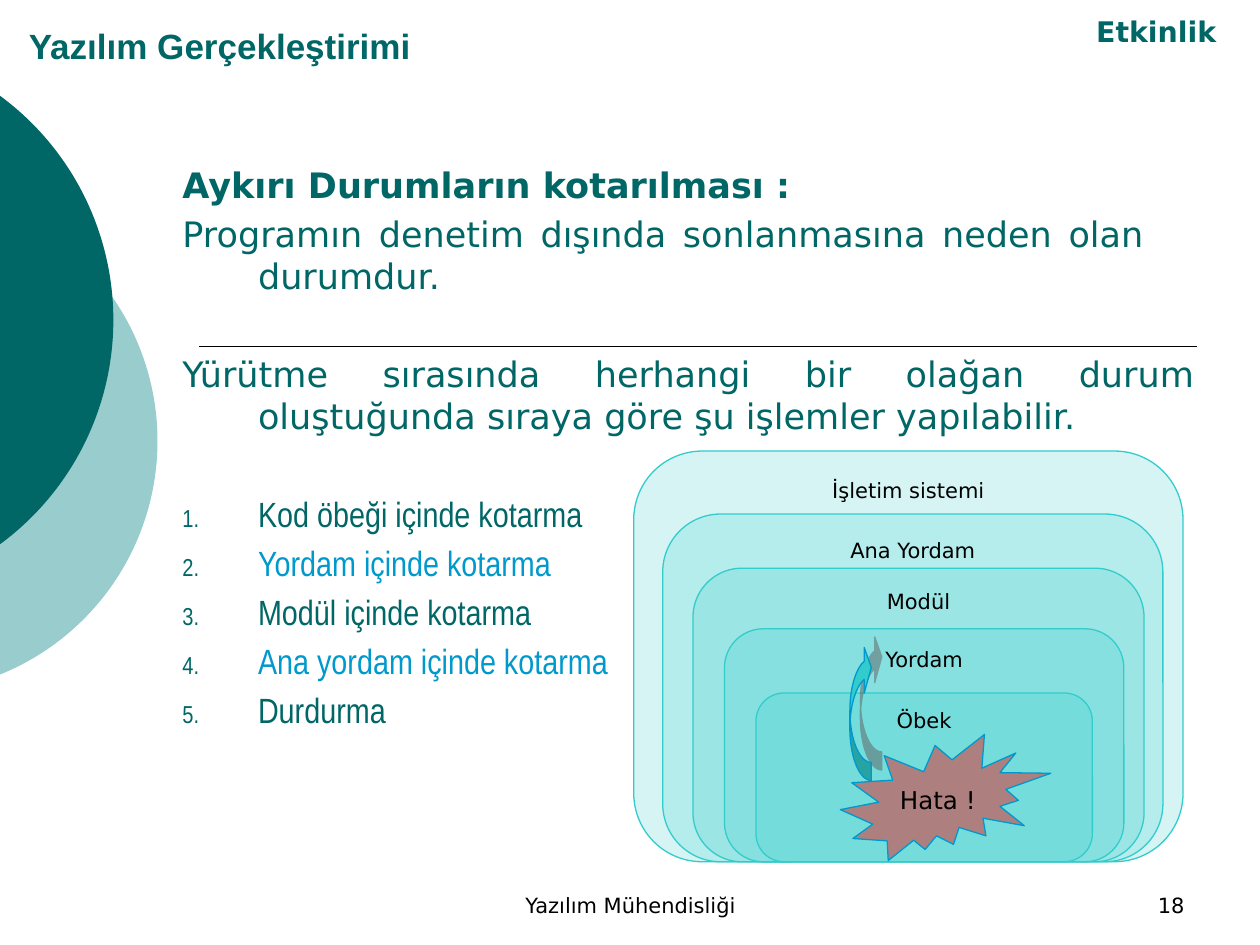
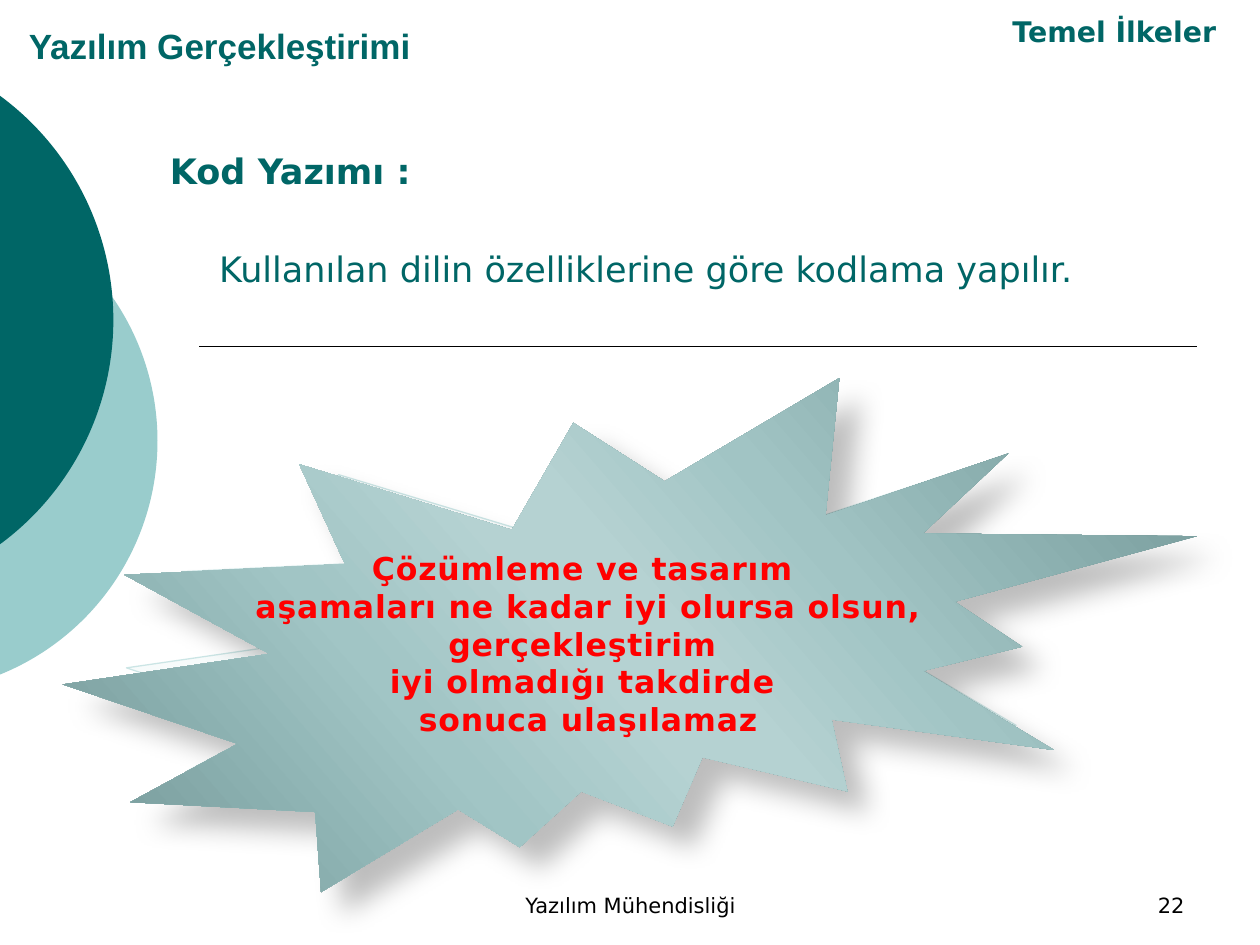
import math

from lxml import etree
from pptx import Presentation
from pptx.dml.color import RGBColor
from pptx.enum import shapes, text
from pptx.oxml.ns import qn
from pptx.util import Inches, Pt

TEAL, PALE, AQUA, BLUE, BLACK, RED = "006666", "99CCCC", "33CCCC", "0099CC", "000000", "FF0000"
SANS = "DejaVu Sans"
SHAPE = shapes.MSO_SHAPE
LEFT, CENTER, RIGHT, JUSTIFY = (text.PP_ALIGN.LEFT, text.PP_ALIGN.CENTER,
                                text.PP_ALIGN.RIGHT, text.PP_ALIGN.JUSTIFY)
TOP, MIDDLE, BOTTOM = (text.MSO_ANCHOR.TOP, text.MSO_ANCHOR.MIDDLE, text.MSO_ANCHOR.BOTTOM)

TITLE = "Yazılım Gerçekleştirimi"
FOOTER = "Yazılım Mühendisliği"
CIRCLES = [(-2.75, 1.5, 4, PALE), (-3.52, 0.33, 4.42, TEAL)]  # left, top, diameter

GAP, WIDE_GAP = 4, 32  # points before a paragraph
HANGING = dict(margin=0.7, indent=-0.6)
EXCEPTIONS = [
    ("Aykırı Durumların kotarılması :", dict(bold=True)),
    ("Programın denetim dışında sonlanmasına neden olan durumdur.", dict(right=0.4)),
    ("Yürütme sırasında herhangi bir olağan durum oluştuğunda sıraya göre "
     "şu işlemler yapılabilir.", dict(before=WIDE_GAP)),
]
STEPS = ["Kod öbeği içinde kotarma", "Yordam içinde kotarma", "Modül içinde kotarma",
         "Ana yordam içinde kotarma", "Durdurma"]
LAYERS = [  # name, left, top, width
    ("İşletim sistemi", 5.03, 3.58, 4.36),
    ("Ana Yordam", 5.26, 4.08, 3.97),
    ("Modül", 5.5, 4.51, 3.58),
    ("Yordam", 5.75, 4.99, 3.17),
    ("Öbek", 6, 5.5, 2.67),
]
LAYERS_BOTTOM = 6.84

CODING = [
    ("Kod Yazımı :", dict(bold=True)),
    ("Kullanılan dilin özelliklerine göre kodlama yapılır.",
     dict(before=WIDE_GAP, margin=0.39)),
]
WARNING = ["Çözümleme ve tasarım ", "aşamaları ne kadar iyi olursa olsun,", "gerçekleştirim ",
           "iyi olmadığı takdirde ", "sonuca ulaşılamaz"]
BURST_STOPS = [(0, "6F9494"), (33, "A1C4C4"), (47, "B5D2D2"),
               (53, "B5D2D2"), (68, "A1C5C5"), (100, "6F9494")]


def rgb(color):
    return RGBColor.from_string(color)


def child(parent, tag, **attrs):
    return etree.SubElement(parent, qn(tag), {k: str(v) for k, v in attrs.items()})


def set_alpha(parent, percent):
    child(next(parent.iter(qn("a:srgbClr"))), "a:alpha", val=percent * 1000)


def add_paragraph(tf, words, size=20, font=SANS, color=TEAL, bold=False, align=JUSTIFY,
                  before=0, margin=0, indent=0, right=0):
    p = tf.paragraphs[0]
    if p.runs:
        p = tf.add_paragraph()
    p.alignment, p.space_before = align, Pt(before)
    pPr = p._p.get_or_add_pPr()
    for name, inches in (("marL", margin), ("marR", right), ("indent", indent)):
        pPr.set(name, str(Inches(inches)))
    r = p.add_run()
    r.text = words
    r.font.size, r.font.name, r.font.bold = Pt(size), font, bold
    r.font.color.rgb = rgb(color)
    return p


def number(p):
    pPr = p._p.get_or_add_pPr()
    child(child(pPr, "a:buClr"), "a:srgbClr", val=TEAL)
    child(pPr, "a:buSzPct", val=70000)
    child(pPr, "a:buAutoNum", type="arabicPeriod")


def add_box(slide, at, anchor=TOP):
    tf = slide.shapes.add_textbox(*map(Inches, at)).text_frame
    tf.word_wrap, tf.vertical_anchor = True, anchor
    return tf


def add_line_of_text(slide, at, words, **style):
    return add_paragraph(add_box(slide, at, BOTTOM), words, **style)


def paint(sp, fill=None, alpha=100, line=None):
    sp.shadow.inherit = False
    if fill:
        sp.fill.solid()
        sp.fill.fore_color.rgb = rgb(fill)
        if alpha < 100:
            set_alpha(sp._element.spPr.find(qn("a:solidFill")), alpha)
    if line:
        sp.line.color.rgb, sp.line.width = rgb(line), Pt(0.75)
    else:
        sp.line.fill.background()


def add_shape(slide, kind, at, **look):
    sp = slide.shapes.add_shape(kind, *map(Inches, at))
    paint(sp, **look)
    return sp


def cast_shadow(sp, color, alpha, blur, distance, angle):
    effects = sp._element.spPr.find(qn("a:effectLst"))
    shadow = child(effects, "a:outerShdw", blurRad=Pt(blur), dist=Pt(distance),
                   dir=angle * 60000, algn="ctr", rotWithShape=0)
    child(shadow, "a:srgbClr", val=color)
    set_alpha(shadow, alpha)


def fill_gradient(sp, stops, clockwise):
    sp.fill.gradient()
    sp.fill.gradient_angle = 360 - clockwise
    gs_list = next(sp._element.spPr.iter(qn("a:gsLst")))
    for gs in list(gs_list):
        gs_list.remove(gs)
    for position, color in stops:
        child(child(gs_list, "a:gs", pos=position * 1000), "a:srgbClr", val=color)


def add_circle_part(slide, left, top, diameter, color):
    """Adds a circle cut off at the slide's left edge, its arc as one curve."""
    radius = diameter / 2
    limit = math.acos(-(left + radius) / radius)
    rise = radius * math.sin(limit)
    size = Inches(diameter)
    builder = slide.shapes.build_freeform(Inches(-left), Inches(radius - rise))
    builder.add_line_segments([(Inches(-left), Inches(radius + rise))], close=True)
    sp = builder.convert_to_shape()
    sp.left, sp.top, sp.width, sp.height = Inches(left), Inches(top), size, size

    outline = next(sp._element.spPr.iter(qn("a:path")))
    outline.set("w", str(size))
    outline.set("h", str(size))
    start = next(outline.iter(qn("a:pt")))
    start.set("x", str(Inches(-left)))
    start.set("y", str(Inches(radius - rise)))
    degrees = math.degrees(limit)
    arc = child(outline, "a:arcTo", wR=size // 2, hR=size // 2,
                stAng=round((360 - degrees) * 60000), swAng=round(2 * degrees * 60000))
    outline.replace(outline.find(qn("a:lnTo")), arc)
    paint(sp, color)


def add_base(prs, topic, page):
    slide = prs.slides.add_slide(prs.slide_layouts[6])
    rule = slide.shapes.add_connector(shapes.MSO_CONNECTOR.STRAIGHT, Inches(1.58), Inches(2.75),
                                      Inches(9.5), Inches(2.75))
    rule.line.color.rgb, rule.line.width = rgb(BLACK), Pt(1)
    child(rule._element.spPr, "a:effectLst")
    for circle in CIRCLES:
        add_circle_part(slide, *circle)
    small = dict(size=12, color=BLACK)
    add_line_of_text(slide, (3.42, 6.83, 3.17, 0.5), FOOTER, align=CENTER, **small)
    add_line_of_text(slide, (7.17, 6.83, 2.33, 0.5), str(page), align=RIGHT, **small)
    add_line_of_text(slide, (0.13, 0.16, 3.25, 0.42), TITLE, font="Arial", bold=True, align=LEFT)
    p = add_line_of_text(slide, (3.17, 0, 6.58, 0.58), topic, size=28, bold=True, align=RIGHT)
    p.runs[0].font._element.set("baseline", "30000")
    return slide


def add_exceptions_slide(prs):
    slide = add_base(prs, "Etkinlik", 18)
    tf = add_box(slide, (1.25, 1.25, 8.33, 5.83))
    for words, style in EXCEPTIONS:
        add_paragraph(tf, words, **{"before": GAP, **HANGING, **style})
    for i, step in enumerate(STEPS):
        number(add_paragraph(tf, step, font="Arial Narrow", color=BLUE if i % 2 else TEAL,
                             before=GAP if i else WIDE_GAP, **HANGING))

    for name, left, top, width in LAYERS:
        layer = add_shape(slide, SHAPE.ROUNDED_RECTANGLE, (left, top, width, LAYERS_BOTTOM - top),
                          fill=AQUA, alpha=20, line=AQUA)
        layer.text_frame.vertical_anchor = TOP
        add_paragraph(layer.text_frame, name, size=12, color=BLACK, align=CENTER)

    error = add_shape(slide, SHAPE.EXPLOSION2, (6.67, 5.83, 1.67, 1),
                      fill=RED, alpha=42, line=BLUE)
    error.text_frame.word_wrap, error.text_frame.vertical_anchor = False, MIDDLE
    add_paragraph(error.text_frame, "Hata !", size=14, color=BLACK, align=CENTER)

    arrow = add_shape(slide, SHAPE.CURVED_UP_ARROW, (6.29, 5.57, 1.08, 0.17),
                      fill=AQUA, line=BLUE)
    for i, value in enumerate((0.844, 2.136, 0.333)):
        arrow.adjustments[i] = value
    arrow.rotation = 270
    arrow._element.spPr.find(qn("a:xfrm")).set("flipV", "1")
    cast_shadow(arrow, "5F5F5F", 50, 0, 8.5, 315)


def add_coding_slide(prs):
    slide = add_base(prs, "Temel İlkeler", 22)
    back = add_shape(slide, SHAPE.EXPLOSION2, (0.92, 3.25, 8.08, 3.58),
                     fill=AQUA, alpha=14, line=BLUE)
    cast_shadow(back, PALE, 50, 0, 8.5, 315)

    tf = add_box(slide, (1.25, 1.14, 8.33, 1.5))
    for words, style in CODING:
        add_paragraph(tf, words, **style)

    burst = add_shape(slide, SHAPE.EXPLOSION2, (0.5, 3, 9, 4.08))
    fill_gradient(burst, BURST_STOPS, 139)
    cast_shadow(burst, BLACK, 26, 15, 18, 45)
    burst.text_frame.word_wrap, burst.text_frame.vertical_anchor = False, MIDDLE
    for words in WARNING:
        p = add_paragraph(burst.text_frame, words, size=18, color=RED, bold=True, align=CENTER)
        p.runs[0].font._element.set("spc", "50")


def main():
    prs = Presentation()
    prs.slide_width, prs.slide_height = Inches(10), Inches(7.5)
    add_exceptions_slide(prs)
    add_coding_slide(prs)
    prs.save("out.pptx")


if __name__ == "__main__":
    main()
